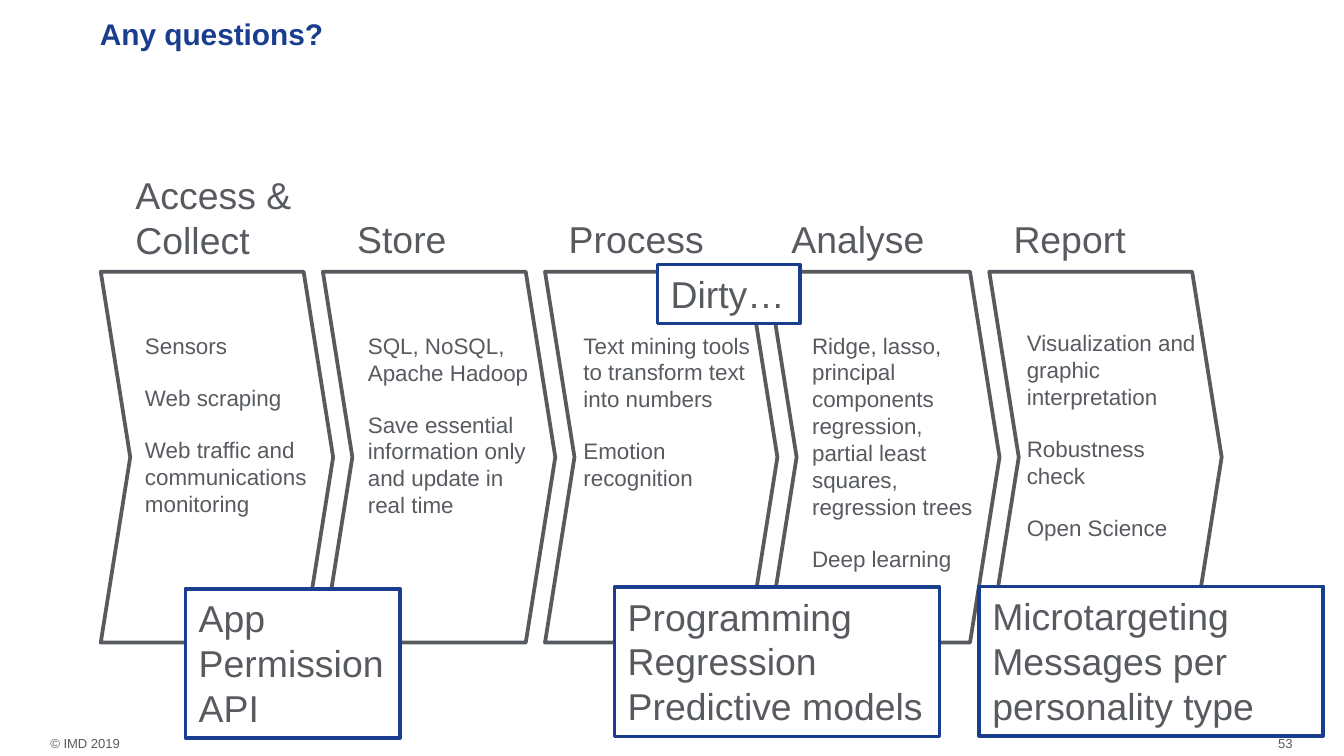
from pptx import Presentation
from pptx.dml.color import RGBColor
from pptx.enum import shapes, text
from pptx.util import Pt

GREY = RGBColor(0x57, 0x5B, 0x60)
BLUE = RGBColor(0x19, 0x3E, 0x8E)
WHITE = RGBColor(0xFF, 0xFF, 0xFF)

STEP_LEFT, STEP_TOP, STEP_PITCH = 54, 145.6, 119
STEP_WIDTH, STEP_HEIGHT = 124.5, 198.7
HEADING_BOTTOM, HEADING_LINE, HEADING_WIDTH = 144.2, 23.7, 113
BODY_WIDTH = 108

# heading, heading lines, heading left, body left, body top, body height, body groups
STEPS = [
    ("Access & Collect", 2, 65.5, 70.6, 174.2, 109, [
        ["Sensors"],
        ["Web scraping"],
        ["Web traffic and communications monitoring"]]),
    ("Store", 1, 184.3, 190, 174.2, 109, [
        ["SQL, NoSQL, Apache Hadoop"],
        ["Save essential information only", "and update in real time"]]),
    ("Process", 1, 297.6, 305.5, 174.2, 94.5, [
        ["Text mining tools to transform text", "into numbers"],
        ["Emotion recognition"]]),
    ("Analyse", 1, 416.9, 428, 174.2, 152.5, [
        ["Ridge, lasso, principal components", "regression, partial least",
         "squares, regression trees"],
        ["Deep learning", "…"]]),
    ("Report", 1, 535.9, 543, 172.8, 124, [
        ["Visualization and graphic interpretation"],
        ["Robustness check"],
        ["Open Science"]]),
]

# left, top, width, height, wraps, lines
CALLOUTS = [
    (99.4, 315.4, 114.8, 80, False, ["App", "Permission", "API"]),
    (329.2, 314.6, 174.2, 80, False, ["Programming", "Regression", "Predictive models"]),
    (524.5, 314.2, 184.4, 80, True, ["Microtargeting", "Messages per personality type"]),
    (352.2, 141.7, 76.4, 31.7, False, ["Dirty…"]),
]


class Painter:
    font_name = "Arial"
    line_width = 2
    group_gap = 13.5

    def __init__(self, page):
        self.page = page

    def text_box(self, left, top, width, height, groups, size, color=GREY, bold=False,
                 wrap=True, align=text.PP_ALIGN.LEFT, anchor=text.MSO_ANCHOR.TOP,
                 insets=(7.2, 3.6, 7.2, 3.6)):
        """Write groups of paragraphs, with a gap of one line between groups."""
        box = self.page.shapes.add_textbox(Pt(left), Pt(top), Pt(width), Pt(height))
        frame = box.text_frame
        frame.word_wrap = wrap
        frame.vertical_anchor = anchor
        (frame.margin_left, frame.margin_top,
         frame.margin_right, frame.margin_bottom) = map(Pt, insets)
        frame.text = "\n".join(line for group in groups for line in group)
        for para in frame.paragraphs:
            para.alignment = align
            font = para.font
            font.name, font.size, font.bold = self.font_name, Pt(size), bold
            font.color.rgb = color
        start = 0
        for group in groups[:-1]:
            start += len(group)
            frame.paragraphs[start].space_before = Pt(self.group_gap)
        return box

    def outline(self, shape, color):
        shape.fill.solid()
        shape.fill.fore_color.rgb = WHITE
        shape.line.color.rgb = color
        shape.line.width = Pt(self.line_width)

    def chevron(self, left, top, width, height):
        shape = self.page.shapes.add_shape(
            shapes.MSO_SHAPE.CHEVRON, Pt(left), Pt(top), Pt(width), Pt(height))
        shape.adjustments[0] = 0.127
        shape.shadow.inherit = False
        self.outline(shape, GREY)

    def heading(self, left, lines, words):
        height = lines * HEADING_LINE + 8
        self.text_box(left, HEADING_BOTTOM - height, HEADING_WIDTH, height, [[words]], 20)

    def callout(self, left, top, width, height, wrap, lines):
        box = self.text_box(left, top, width, height, [lines], 20, wrap=wrap)
        self.outline(box, BLUE)

    def footer(self, left, width, words, align):
        self.text_box(left, 388, width, 17, [[words]], 7, align=align,
                      anchor=text.MSO_ANCHOR.BOTTOM, insets=(6, 6, 6, 3))


def main():
    deck = Presentation()
    deck.slide_width, deck.slide_height = Pt(720), Pt(405)
    painter = Painter(deck.slides.add_slide(deck.slide_layouts[6]))

    painter.footer(21, 55, "© IMD 2019", text.PP_ALIGN.LEFT)
    painter.text_box(47.5, 8.6, 618.5, 44.6, [["Any questions?"]], 16, BLUE, True,
                     insets=(6, 0, 7.2, 3.6))
    painter.footer(601, 97.5, "53", text.PP_ALIGN.RIGHT)

    for index in range(len(STEPS)):
        painter.chevron(STEP_LEFT + index * STEP_PITCH, STEP_TOP, STEP_WIDTH, STEP_HEIGHT)
    for words, lines, heading_left, left, top, height, groups in STEPS:
        painter.heading(heading_left, lines, words)
        painter.text_box(left, top, BODY_WIDTH, height, groups, 12)
    for callout in CALLOUTS:
        painter.callout(*callout)

    deck.save("out.pptx")


if __name__ == "__main__":
    main()
